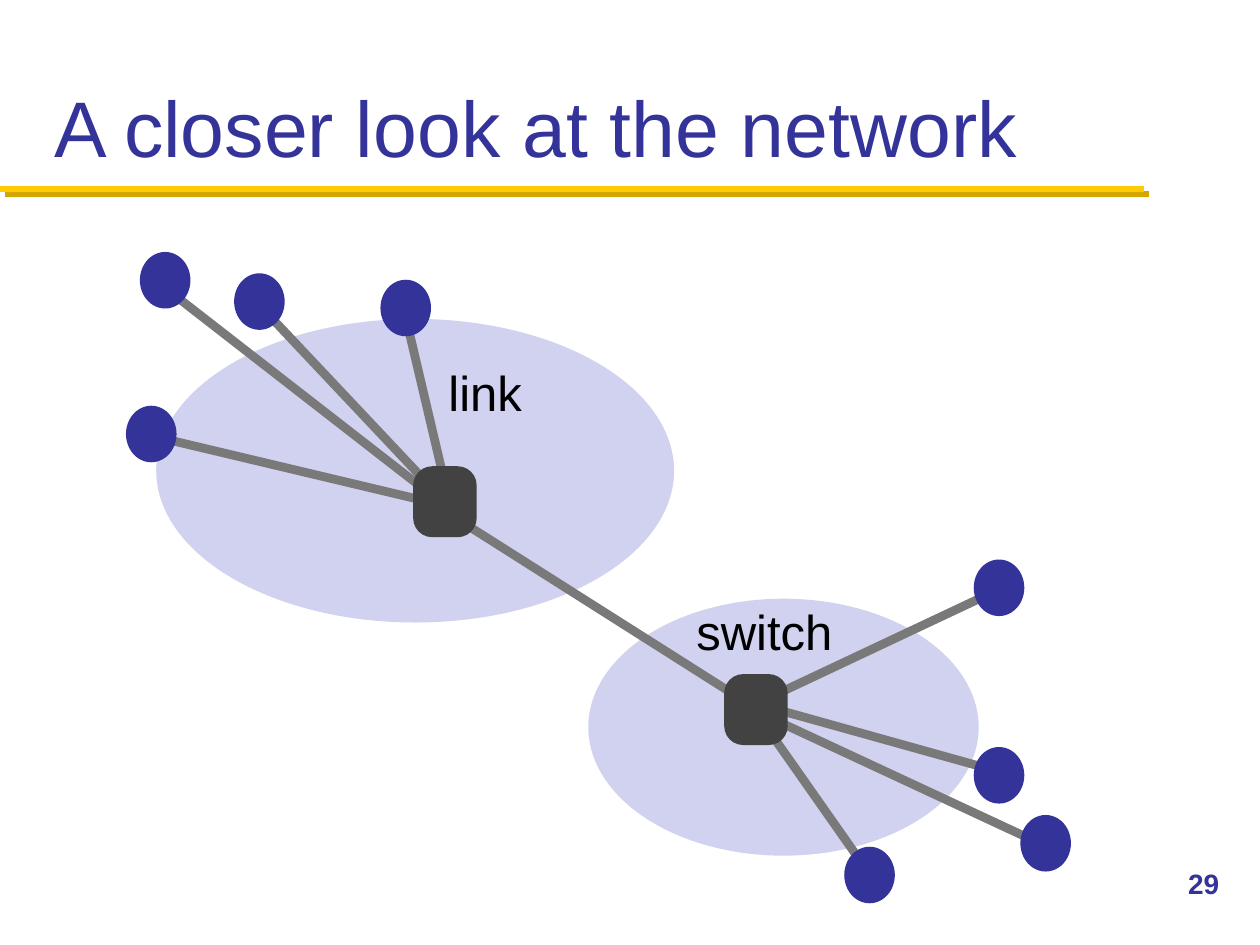
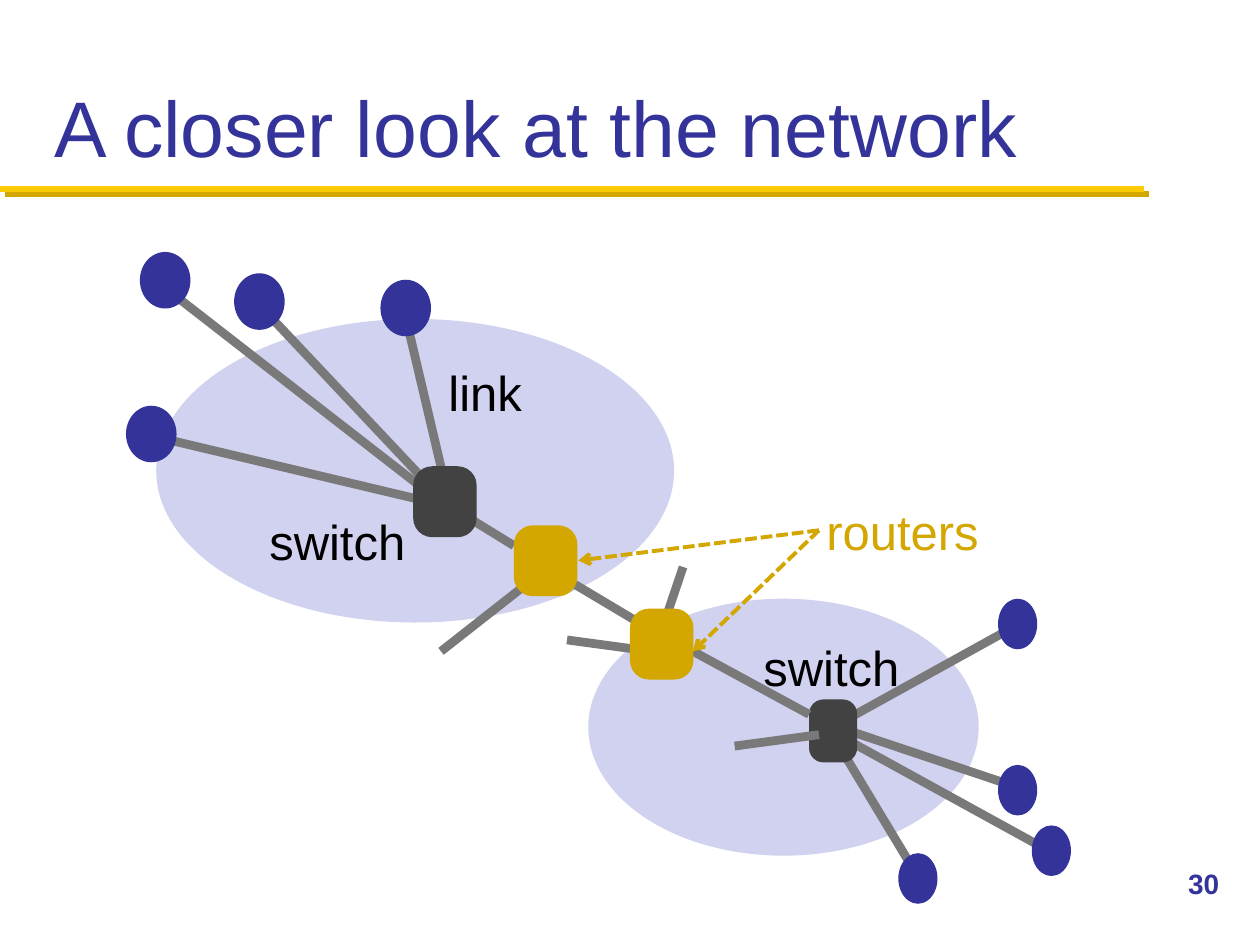
from lxml import etree
from pptx import Presentation
from pptx import util as u
from pptx.dml.color import RGBColor
from pptx.enum import dml, shapes, text
from pptx.oxml import ns

NAVY = RGBColor(0x33, 0x33, 0x99)
LAVENDER = RGBColor(0xD1, 0xD1, 0xF0)
GRAY = RGBColor(0x79, 0x79, 0x79)
CHARCOAL = RGBColor(0x42, 0x42, 0x42)
YELLOW = RGBColor(0xFF, 0xCB, 0x05)
GOLD = RGBColor(0xD3, 0xA6, 0x00)
BLACK = RGBColor(0, 0, 0)
FONT = "Arial"

TITLE = "A closer look at the network"
CLOUDS = [(11.86, 12.07, 7.87, 5.18), (3.15, 6.43, 10.44, 6.12)]
HOST = (1.02, 1.14)
SMALL_HOST = (0.79, 1.02)
BOX = (1.28, 1.43)
SMALL_BOX = (0.97, 1.27)
LABEL_HEIGHT = 1.47

NEAR_LINKS = [
    (8.18, 6.4, 9.09, 10.26),
    (3.07, 8.79, 8.84, 10.16),
    (3.35, 5.82, 8.74, 10.01),
    (5.23, 6.15, 8.84, 9.98),
]
NEAR_HOSTS = [(2.54, 8.18), (2.82, 5.08), (4.72, 5.51), (7.67, 5.64)]
NEAR_SWITCH = (8.33, 9.4)
LINK_LABEL = ("link", 8.89, 7.16, 1.78, BLACK)

SLIDES = [
    {
        "number": "29",
        "far_links": [
            (21.11, 17.07, 15.16, 14.3),
            (20.12, 11.89, 15.11, 14.25),
            (15.29, 14.43, 17.5, 17.58),
            (20.09, 15.54, 15.29, 14.2),
            (8.79, 10.19, 15.27, 14.3),
        ],
        "far_hosts": [(19.63, 11.28), (17.02, 17.07), (19.63, 15.06), (20.57, 16.43)],
        "host_size": HOST,
        "far_switch": (14.6, 13.59),
        "switch_size": BOX,
        "router_links": [],
        "routers": [],
        "pointers": [],
        "labels": [LINK_LABEL, ("switch", 13.89, 11.99, 3.05, BLACK)],
    },
    {
        "number": "30",
        "far_links": [
            (21.23, 17.2, 16.74, 14.73),
            (20.47, 12.62, 16.69, 14.71),
            (16.81, 14.86, 18.49, 17.65),
            (20.45, 15.85, 16.81, 14.63),
        ],
        "far_hosts": [(20.12, 12.07), (18.11, 17.2), (20.12, 15.42), (20.8, 16.64)],
        "host_size": SMALL_HOST,
        "far_switch": (16.31, 14.1),
        "switch_size": SMALL_BOX,
        "router_links": [
            (11, 11.43, 13.13, 12.7),
            (14.81, 15.04, 16.51, 14.81),
            (13.97, 13.13, 16.31, 14.4),
            (10.36, 11, 9.32, 10.36),
            (10.8, 11.63, 8.89, 13.13),
            (13.13, 13.13, 11.43, 12.9),
            (13.34, 12.7, 13.77, 11.43),
        ],
        "routers": [(10.36, 10.59), (12.7, 12.27)],
        "pointers": [(16.51, 10.69, 11.66, 11.3), (16.51, 10.69, 13.97, 13.13)],
        "labels": [
            LINK_LABEL,
            ("switch", 15.24, 12.7, 3.05, BLACK),
            ("switch", 5.28, 10.16, 3.05, BLACK),
            ("routers", 16.51, 9.96, 3.4, GOLD),
        ],
    },
]


def add_line(slide, ends, color, width):
    connector = slide.shapes.add_connector(
        shapes.MSO_CONNECTOR.STRAIGHT, *map(u.Cm, ends))
    connector.line.color.rgb = color
    connector.line.width = u.Pt(width)
    effects = etree.SubElement(connector._element.spPr, ns.qn("a:effectLst"))
    return connector, effects


def add_links(slide, links):
    for ends in links:
        add_line(slide, ends, GRAY, 5)


def add_pointer(slide, ends):
    connector, _ = add_line(slide, ends, GOLD, 2.25)
    connector.line.dash_style = dml.MSO_LINE.SQUARE_DOT
    etree.SubElement(connector.line._get_or_add_ln(), ns.qn("a:tailEnd"), type="arrow")


def add_rule(slide):
    _, effects = add_line(slide, (0, 3.81, 23.06, 3.81), YELLOW, 3.5)
    shadow = etree.SubElement(
        effects, ns.qn("a:outerShdw"), dist=str(u.Pt(4.2)), dir="2700000",
        algn="ctr", rotWithShape="0")
    etree.SubElement(shadow, ns.qn("a:srgbClr"), val=str(GOLD))


def add_shape(slide, kind, place, color):
    shape = slide.shapes.add_shape(kind, *map(u.Cm, place))
    shape.shadow.inherit = False
    shape.fill.solid()
    shape.fill.fore_color.rgb = color
    shape.line.fill.background()
    return shape


def add_ovals(slide, places, color):
    for place in places:
        add_shape(slide, shapes.MSO_SHAPE.OVAL, place, color)


def add_box(slide, corner, size, color):
    box = add_shape(slide, shapes.MSO_SHAPE.ROUNDED_RECTANGLE, corner + size, color)
    box.adjustments[0] = 0.3


def add_text(slide, words, place, size, color, bold=False,
             anchor=text.MSO_ANCHOR.TOP, wrap=True):
    frame = slide.shapes.add_textbox(*map(u.Cm, place)).text_frame
    frame.word_wrap = wrap
    frame.vertical_anchor = anchor
    paragraph = frame.paragraphs[0]
    paragraph.text = words
    font = paragraph.font
    font.name, font.size, font.bold = FONT, u.Pt(size), bold
    font.color.rgb = color
    return frame


def add_label(slide, words, left, top, width, color):
    frame = add_text(slide, words, (left, top, width, LABEL_HEIGHT), 28, color,
                     anchor=text.MSO_ANCHOR.MIDDLE, wrap=False)
    frame.margin_left = frame.margin_right = u.Cm(0.15)
    frame.margin_top = frame.margin_bottom = u.Cm(0.15)


def add_frame(slide, number):
    add_rule(slide)
    add_text(slide, TITLE, (0.84, 0.43, 23.7, 3.18), 45, NAVY,
             anchor=text.MSO_ANCHOR.BOTTOM)
    add_text(slide, number, (23.7, 17.35, 1.7, 1.27), 16, NAVY, bold=True)


def add_network(slide, network):
    add_ovals(slide, CLOUDS, LAVENDER)
    add_links(slide, NEAR_LINKS + network["far_links"])
    add_ovals(slide, [corner + HOST for corner in NEAR_HOSTS], NAVY)
    add_ovals(slide, [corner + network["host_size"] for corner in network["far_hosts"]], NAVY)
    add_box(slide, network["far_switch"], network["switch_size"], CHARCOAL)
    add_links(slide, network["router_links"])
    for corner in network["routers"]:
        add_box(slide, corner, BOX, GOLD)
    add_box(slide, NEAR_SWITCH, BOX, CHARCOAL)
    for ends in network["pointers"]:
        add_pointer(slide, ends)
    for label in network["labels"]:
        add_label(slide, *label)


def main():
    presentation = Presentation()
    presentation.slide_width = u.Cm(25.4)
    presentation.slide_height = u.Cm(19.05)
    for network in SLIDES:
        slide = presentation.slides.add_slide(presentation.slide_layouts[6])
        add_frame(slide, network["number"])
        add_network(slide, network)
    presentation.save("out.pptx")


if __name__ == "__main__":
    main()
